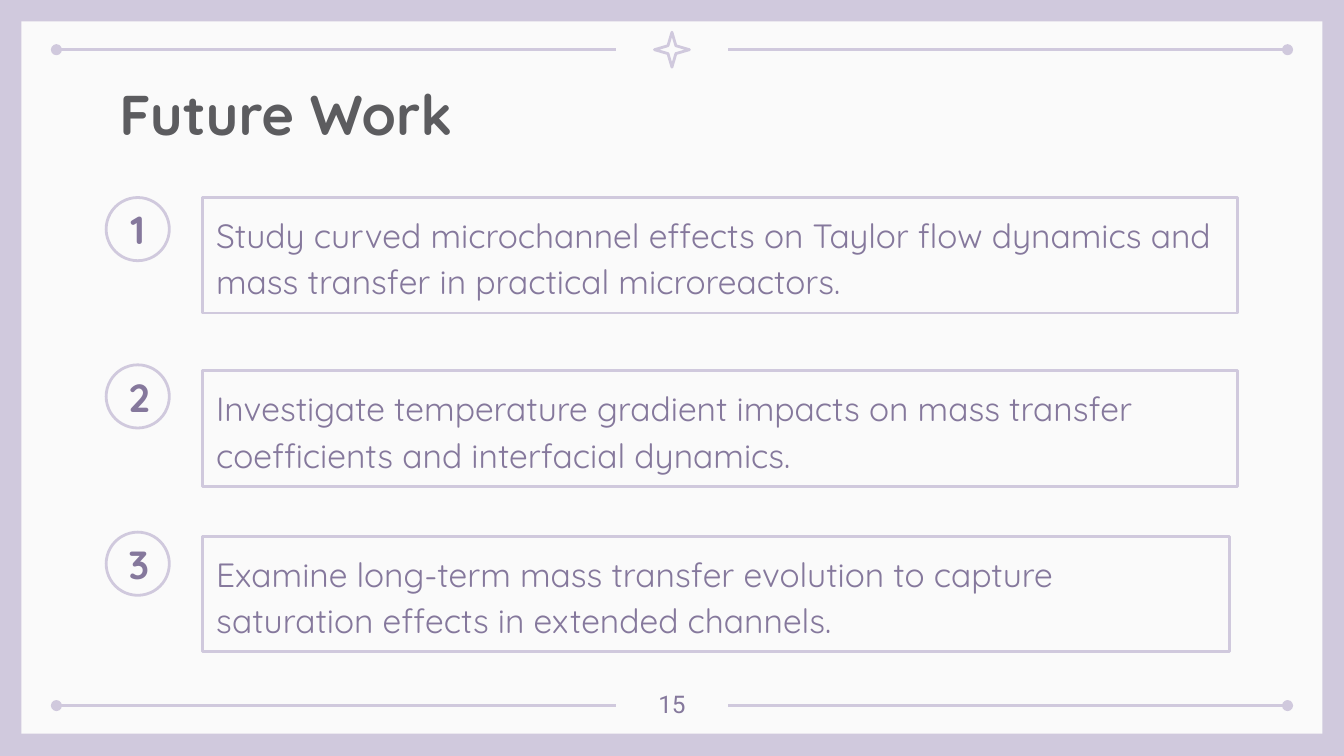
"""Build the "Future Work" slide with three numbered points."""
from dataclasses import dataclass

from lxml.etree import SubElement
from pptx import Presentation
from pptx.dml.color import RGBColor
from pptx.enum.shapes import MSO_CONNECTOR, MSO_SHAPE
from pptx.enum.text import MSO_ANCHOR, PP_ALIGN
from pptx.oxml.ns import qn
from pptx.shapes.autoshape import Shape
from pptx.slide import Slide
from pptx.util import Inches, Pt


@dataclass(frozen=True)
class Theme:
    border: str = "D0C9DD"
    panel: str = "FAFAFA"
    heading: str = "5C5C5F"
    body: str = "85789C"
    font: str = "Quicksand"
    number_font: str = "Roboto"
    title_size: float = 30
    badge_size: float = 21
    body_size: float = 18
    page_size: float = 13
    line_width: float = 1.5


@dataclass(frozen=True)
class Box:
    left: float
    top: float
    width: float
    height: float

    def lengths(self) -> tuple:
        return tuple(Inches(v) for v in (self.left, self.top, self.width, self.height))


@dataclass(frozen=True)
class Point:
    text: str
    top: float
    width: float = 7.7


THEME = Theme()
POINTS = (
    Point("Study curved microchannel effects on Taylor flow dynamics and "
          "mass transfer in practical microreactors.", 1.47),
    Point("Investigate temperature gradient impacts on mass transfer "
          "coefficients and interfacial dynamics.", 2.76),
    Point("Examine long-term mass transfer evolution to capture "
          "saturation effects in extended channels.", 3.99, 7.64),
)
BADGE_FIRST, BADGE_LAST = 1.47, 3.96
BADGE_STEP = (BADGE_LAST - BADGE_FIRST) / (len(POINTS) - 1)
RULE_TOPS = (0.37, 5.25)
RULE_SPANS = ((0.42, 4.58, "headEnd"), (5.42, 9.58, "tailEnd"))


def write(sp: Shape, text: str, *, size: float, color: str = THEME.body,
          font: str = THEME.font, bold: bool = False, align=PP_ALIGN.LEFT,
          anchor=MSO_ANCHOR.MIDDLE, spacing: float = 1.0) -> None:
    tf = sp.text_frame
    tf.word_wrap = True
    tf.vertical_anchor = anchor
    tf.margin_left = tf.margin_right = tf.margin_top = tf.margin_bottom = Inches(0.1)
    p = tf.paragraphs[0]
    p.alignment = align
    p.line_spacing = spacing
    r = p.add_run()
    r.text = text
    r.font.name = font
    r.font.size = Pt(size)
    r.font.bold = bold
    r.font.color.rgb = RGBColor.from_string(color)


def add_outline(s: Slide, kind: MSO_SHAPE, box: Box) -> Shape:
    sp = s.shapes.add_shape(kind, *box.lengths())
    sp.shadow.inherit = False
    sp.fill.background()
    sp.line.color.rgb = RGBColor.from_string(THEME.border)
    sp.line.width = Pt(THEME.line_width)
    return sp


def add_rule(s: Slide, x1: float, x2: float, y: float, dot_end: str) -> None:
    cx = s.shapes.add_connector(MSO_CONNECTOR.STRAIGHT, Inches(x1), Inches(y),
                                Inches(x2), Inches(y))
    cx.line.color.rgb = RGBColor.from_string(THEME.border)
    cx.line.width = Pt(THEME.line_width)
    sp_pr = cx._element.spPr
    SubElement(sp_pr.find(qn("a:ln")), qn(f"a:{dot_end}"), type="oval")
    SubElement(sp_pr, qn("a:effectLst"))


def add_frame(s: Slide) -> None:
    fill = s.background.fill
    fill.solid()
    fill.fore_color.rgb = RGBColor.from_string(THEME.border)
    panel = add_outline(s, MSO_SHAPE.RECTANGLE, Box(0.16, 0.16, 9.68, 5.3))
    panel.fill.solid()
    panel.fill.fore_color.rgb = RGBColor.from_string(THEME.panel)
    panel.line.fill.background()
    for y in RULE_TOPS:
        for x1, x2, dot_end in RULE_SPANS:
            add_rule(s, x1, x2, y, dot_end)
    star = add_outline(s, MSO_SHAPE.STAR_4_POINT, Box(4.87, 0.24, 0.26, 0.26))
    star.adjustments[0] = 0.16


def add_point(s: Slide, index: int, point: Point) -> None:
    badge = add_outline(s, MSO_SHAPE.OVAL,
                        Box(0.79, BADGE_FIRST + index * BADGE_STEP, 0.47, 0.47))
    write(badge, str(index + 1), size=THEME.badge_size, bold=True, align=PP_ALIGN.CENTER)
    sp = add_outline(s, MSO_SHAPE.RECTANGLE, Box(1.51, point.top, point.width, 0.86))
    write(sp, point.text, size=THEME.body_size, spacing=1.15)


def main() -> None:
    prs = Presentation()
    prs.slide_width = Inches(10)
    prs.slide_height = prs.slide_width * 9 // 16
    s = prs.slides.add_slide(prs.slide_layouts[6])
    add_frame(s)
    title = s.shapes.add_textbox(*Box(0.79, 0.49, 8.43, 0.63).lengths())
    write(title, "Future Work", size=THEME.title_size, color=THEME.heading,
          bold=True, anchor=MSO_ANCHOR.TOP)
    for index, point in enumerate(POINTS):
        add_point(s, index, point)
    page = s.shapes.add_textbox(*Box(4.7, 5.03, 0.6, 0.36).lengths())
    write(page, "15", size=THEME.page_size, font=THEME.number_font,
          align=PP_ALIGN.CENTER, anchor=MSO_ANCHOR.TOP)
    prs.save("out.pptx")


if __name__ == "__main__":
    main()
